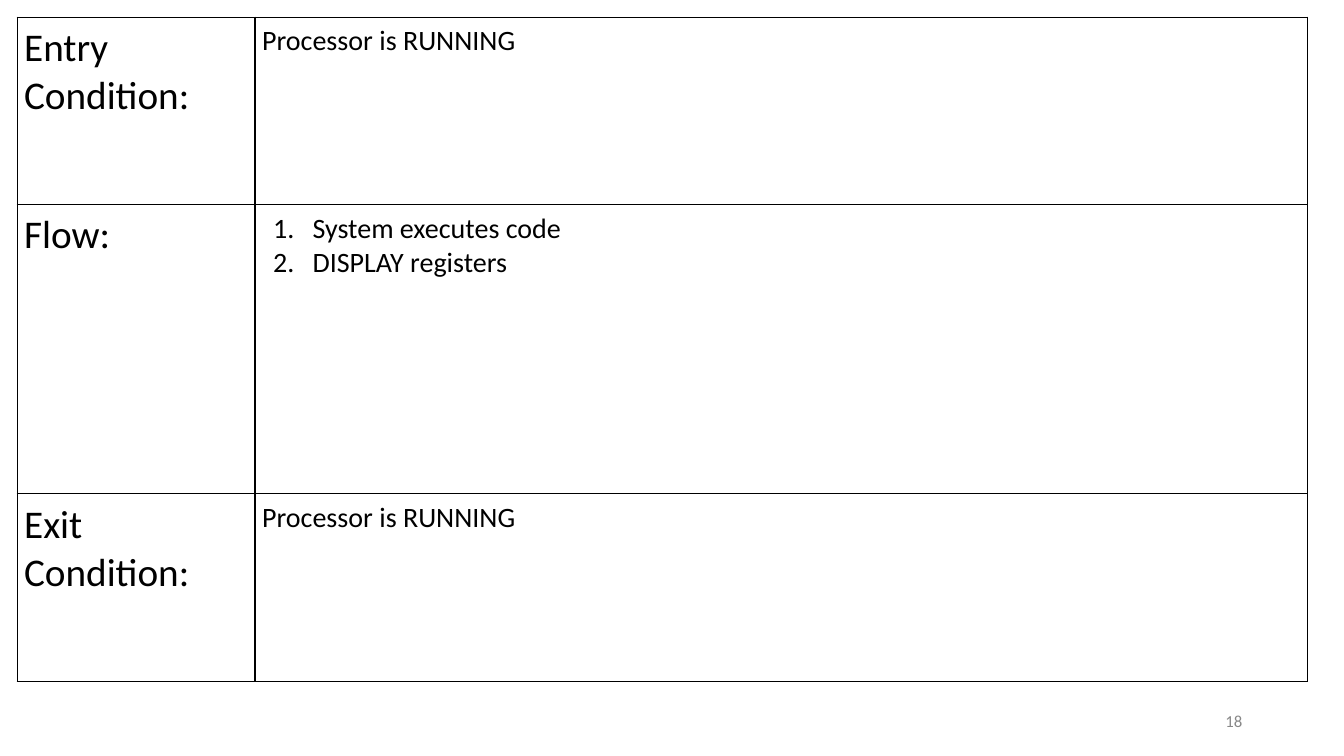
"""Build a use-case slide: a bordered table of entry condition, flow and exit condition."""
import pptx
import pptx.util
import pptx.dml.color
import pptx.enum.text
import pptx.oxml
import pptx.oxml.ns
import lxml.etree

Inches = pptx.util.Inches
Align = pptx.enum.text.PP_ALIGN
WIDTH, HEIGHT = 13.33, 7.5
MARGIN = 0.17
CELL_INSET = 0.07
COLUMNS = [2.36, 10.44]
LABEL_SIZE, BODY_SIZE = 28, 20
BLACK, GREY = "000000", "888888"
SECTIONS = [
    ("Entry Condition:", ["Processor is RUNNING"], 1.86),
    ("Flow:", ["System executes code", "DISPLAY registers"], 2.87),
    ("Exit Condition:", ["Processor is RUNNING"], 1.86),
]


def write(para, text, size, color, align):
    para.alignment = align
    span = para.add_run()
    span.text = text
    for name, value in {"name": "Calibri", "size": pptx.util.Pt(size), "bold": False}.items():
        setattr(span.font, name, value)
    span.font.color.rgb = pptx.dml.color.RGBColor.from_string(color)


def add_child(parent, tag, **attributes):
    return lxml.etree.SubElement(parent, pptx.oxml.ns.qn(tag), **attributes)


deck = pptx.Presentation()
deck.slide_width, deck.slide_height = Inches(WIDTH), Inches(HEIGHT)
page = deck.slides.add_slide(deck.slide_layouts[6])

box = page.shapes.add_textbox(Inches(9.42), Inches(6.95), Inches(3), Inches(0.4))
box.text_frame.word_wrap = True
box.text_frame.vertical_anchor = pptx.enum.text.MSO_ANCHOR.MIDDLE
write(box.text_frame.paragraphs[0], "18", 12, GREY, Align.RIGHT)

table_height = sum(height for _, _, height in SECTIONS)
table = page.shapes.add_table(
    len(SECTIONS), len(COLUMNS), Inches(MARGIN), Inches(MARGIN),
    Inches(sum(COLUMNS)), Inches(table_height)).table
table.first_row = table.horz_banding = False
for column, width in zip(table.columns, COLUMNS):
    column.width = Inches(width)

for row, (label, steps, height) in enumerate(SECTIONS):
    table.rows[row].height = Inches(height)
    for column, (lines, size) in enumerate([([label], LABEL_SIZE), (steps, BODY_SIZE)]):
        cell = table.cell(row, column)
        for side in ("left", "right", "top", "bottom"):
            setattr(cell, f"margin_{side}", Inches(CELL_INSET))
            border = add_child(cell._tc.get_or_add_tcPr(), f"a:ln{side[0].upper()}",
                               w=str(pptx.util.Pt(1)))
            add_child(add_child(border, "a:solidFill"), "a:srgbClr", val=BLACK)
        cell.fill.background()
        frame = cell.text_frame
        for number, line in enumerate(lines):
            para = frame.add_paragraph() if number else frame.paragraphs[0]
            write(para, line, size, BLACK, Align.JUSTIFY)
            if len(lines) > 1:
                layout = para._p.get_or_add_pPr()
                layout.set("marL", str(Inches(0.5)))
                layout.set("indent", str(Inches(-0.39)))
                add_child(add_child(layout, "a:buClr"), "a:srgbClr", val=BLACK)
                add_child(layout, "a:buFont", typeface="Calibri")
                add_child(layout, "a:buAutoNum", type="arabicPeriod")

deck.save("out.pptx")
